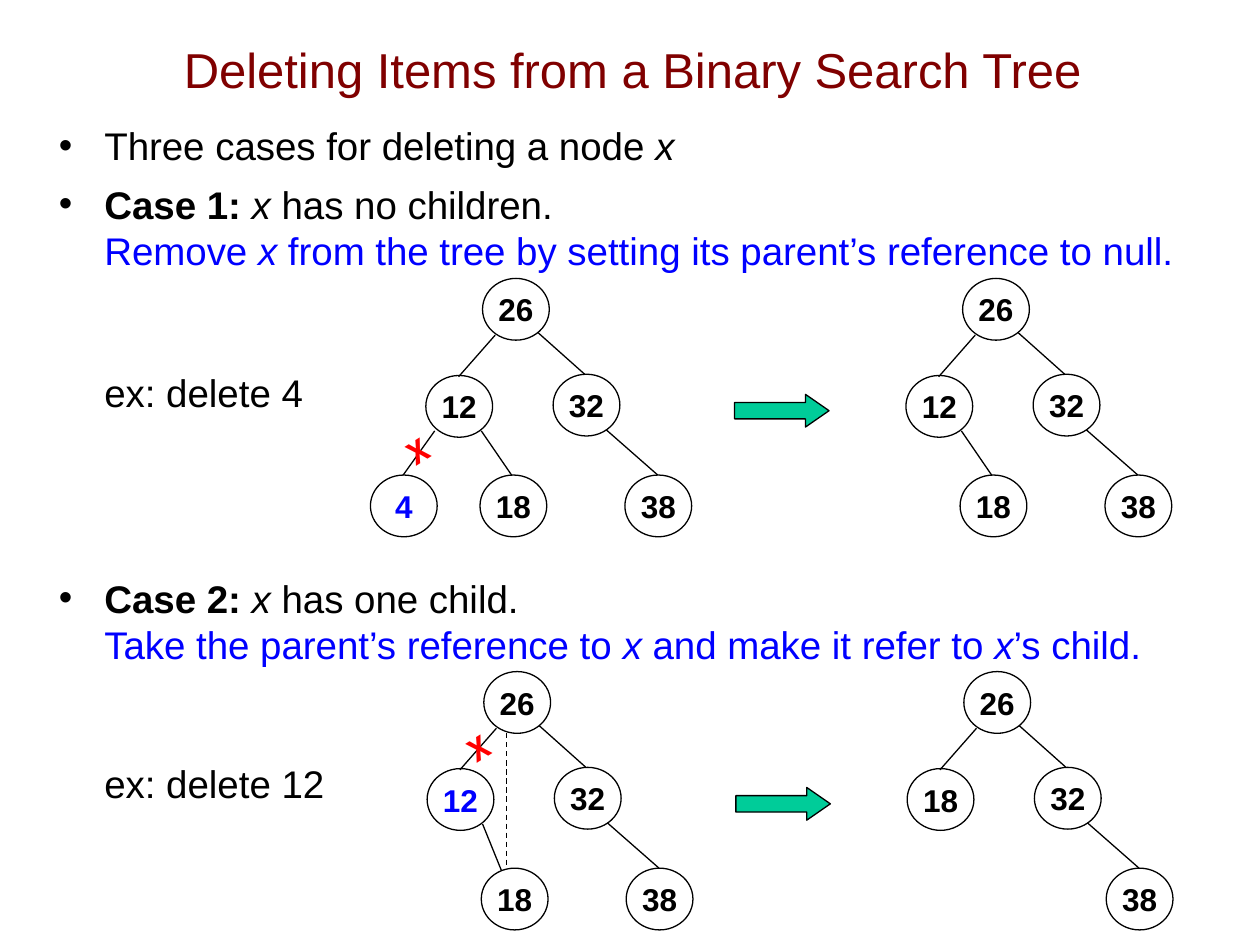
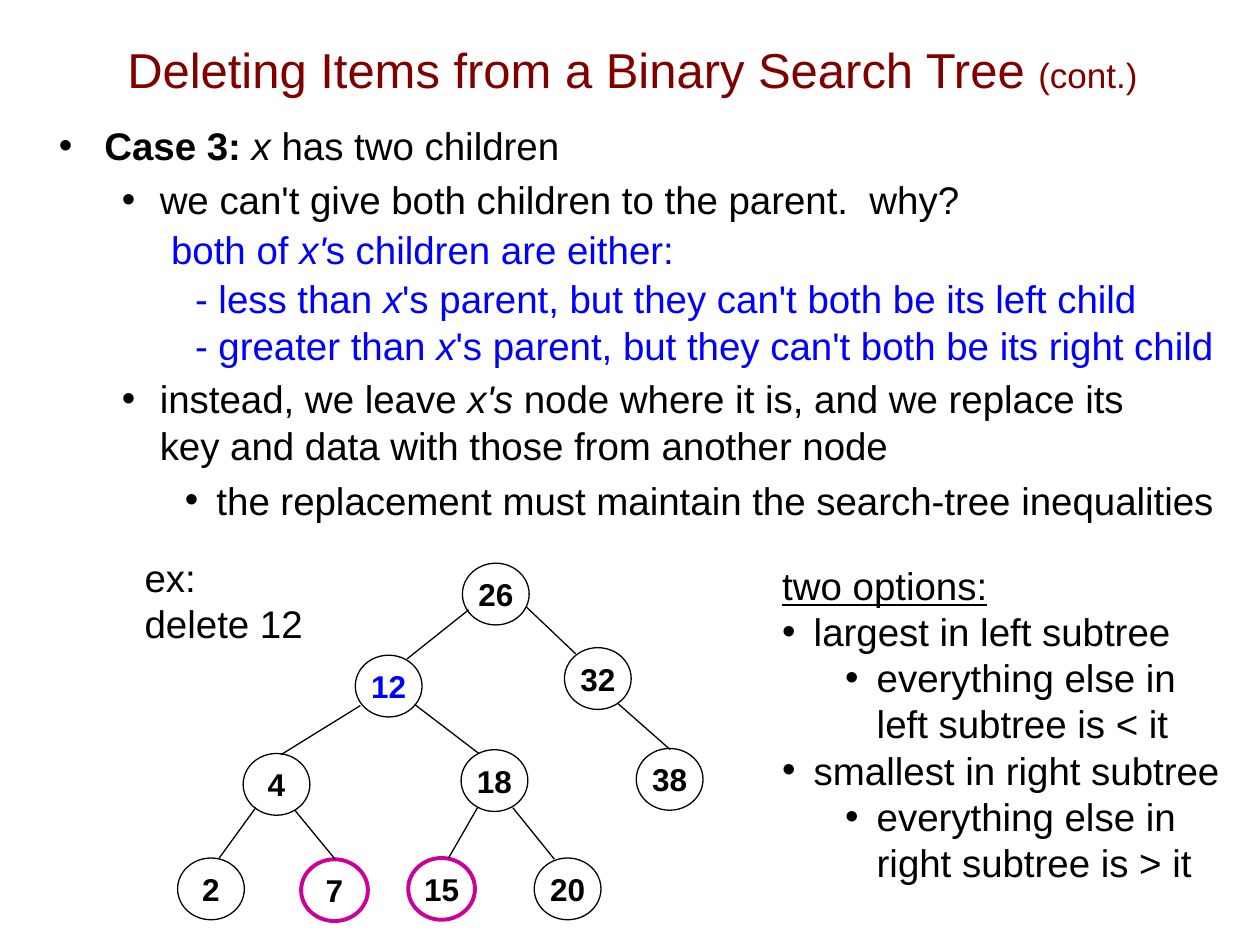
import lxml.etree
import pptx
import pptx.dml.color
import pptx.enum.dml
import pptx.enum.shapes
import pptx.enum.text
import pptx.oxml.ns
import pptx.util

Inches = pptx.util.Inches
Pt = pptx.util.Pt
RGB = pptx.dml.color.RGBColor.from_string
qn = pptx.oxml.ns.qn
ALIGN = pptx.enum.text.PP_ALIGN
ANCHOR = pptx.enum.text.MSO_ANCHOR
SHAPE = pptx.enum.shapes.MSO_SHAPE


class Theme:
    font = "Arial"
    mark_font = "Arial Narrow"
    title_color = RGB("800000")
    ink = RGB("000000")
    accent = RGB("0000FF")
    mark = RGB("FF0000")
    arrow = RGB("00CC99")
    candidate = RGB("CC0099")
    paper = RGB("FFFFFF")
    title_size = 28
    cont_size = 20
    body_size = 22
    key_size = 18
    mark_size = 24
    thin = 0.75
    thick = 2.25


def add_para(tf, runs, size=Theme.body_size, color=Theme.ink, left=0, hang=0,
             before=0, align=ALIGN.LEFT, font=Theme.font):
    """Add a paragraph of (text, style) runs; style holds b, i, u, or s for small.

    A positive hang gives a bullet; the text "\\n" gives a line break.
    """
    p = tf.paragraphs[0]
    if p.runs:
        p = tf.add_paragraph()
    p.alignment = align
    p.space_before = Pt(before)
    pPr = p._p.get_or_add_pPr()
    pPr.set("marL", str(Inches(left)))
    pPr.set("indent", str(-Inches(hang)))
    if hang:
        bu = lxml.etree.SubElement(pPr, qn("a:buFont"))
        bu.set("typeface", Theme.font)
        bu = lxml.etree.SubElement(pPr, qn("a:buChar"))
        bu.set("char", "•")
    for text, style in runs:
        if text == "\n":
            p.add_line_break()
            continue
        r = p.add_run()
        r.text = text
        r.font.name = font
        r.font.size = Pt(Theme.cont_size if "s" in style else size)
        r.font.color.rgb = color
        r.font.bold = "b" in style
        r.font.italic = "i" in style
        r.font.underline = "u" in style


def add_edge(s, x1, y1, x2, y2, dashed=False):
    c = s.shapes.add_connector(pptx.enum.shapes.MSO_CONNECTOR.STRAIGHT,
                               Inches(x1), Inches(y1), Inches(x2), Inches(y2))
    c.line.color.rgb = Theme.ink
    c.line.width = Pt(Theme.thin)
    if dashed:
        c.line.dash_style = pptx.enum.dml.MSO_LINE.DASH
    lxml.etree.SubElement(c._element.spPr, qn("a:effectLst"))


prs = pptx.Presentation()
prs.slide_width = Inches(10)
prs.slide_height = Inches(7.5)

# Titles and body frames
title = "Deleting Items from a Binary Search Tree"
slides, bodies = [], []
for title_runs in ([(title, "")], [(title + " ", ""), ("(cont.)", "s")]):
    s = prs.slides.add_slide(prs.slide_layouts[6])
    tf = s.shapes.add_textbox(Inches(0.43), Inches(0.08), Inches(9.18), Inches(0.93)).text_frame
    tf.word_wrap = True
    tf.vertical_anchor = ANCHOR.MIDDLE
    add_para(tf, title_runs, Theme.title_size, Theme.title_color, align=ALIGN.CENTER)
    tf = s.shapes.add_textbox(Inches(0.37), Inches(0.92), Inches(9.63), Inches(6.14)).text_frame
    tf.word_wrap = True
    slides.append(s)
    bodies.append(tf)
one_child, two_children = slides

# Cases 1 and 2: text
tf = bodies[0]
top = dict(left=0.36, hang=0.36)
add_para(tf, [("Three cases for deleting a node ", ""), ("x", "i")], before=14.2, **top)
add_para(tf, [("Case 1: ", "b"), ("x", "i"), (" has no children.", "")], before=7, **top)
add_para(tf, [("Remove ", ""), ("x", "i"),
              (" from the tree by setting its parent’s reference to null.", "")],
         color=Theme.accent, left=0.36)
add_para(tf, [("ex: delete 4", "")], left=0.36, before=55)
add_para(tf, [("Case 2: ", "b"), ("x", "i"), (" has one child.", "")], before=91, **top)
add_para(tf, [("Take the parent’s reference to ", ""), ("x", "i"),
              (" and make it refer to ", ""), ("x", "i"), ("’s child.", "")],
         color=Theme.accent, left=0.36)
add_para(tf, [("ex: delete 12", "")], left=0.36, before=53)

# Case 3: text
tf = bodies[1]
second = dict(left=0.8, hang=0.3, before=4.4)
add_para(tf, [("Case 3: ", "b"), ("x", "i"), (" has two children", "")], before=7, **top)
add_para(tf, [("we can't give both children to the parent.  why?", "")], **second)
add_para(tf, [("both of ", ""), ("x'", "i"), ("s children are either:", "")],
         color=Theme.accent, left=0.89, before=2)
for relation, side, before in (("less", "left", 2), ("greater", "right", 0)):
    add_para(tf, [(f"- {relation} than ", ""), ("x", "i"),
                  (f"'s parent, but they can't both be its {side} child", "")],
             color=Theme.accent, left=1.08, before=before)
add_para(tf, [("instead, we leave ", ""), ("x's ", "i"),
              ("node where it is, and we replace its", ""), ("\n", ""),
              ("key and data with those from another node", "")], **second)
add_para(tf, [("the replacement must maintain the search-tree inequalities", "")],
         left=1.25, hang=0.25, before=5)
add_para(tf, [("ex:", ""), ("\n", ""), ("delete 12", "")], left=0.68, before=17.6)

tf = two_children.shapes.add_textbox(Inches(6.11), Inches(4.41), Inches(3.85), Inches(2.69)).text_frame
tf.word_wrap = True
add_para(tf, [("two options:", "u")])
for extreme, side, sign in (("largest", "left", "<"), ("smallest", "right", ">")):
    add_para(tf, [(f"{extreme} in {side} subtree", "")], left=0.25, hang=0.25)
    add_para(tf, [("everything else in", ""), ("\n", ""), (f"{side} subtree is {sign} it", "")],
             left=0.75, hang=0.25)

# Each slot: left and top of the node, then the edge from its parent
small_slots = {
    "root": (3.83, 2.21, None),
    "left": (3.38, 2.98, (3.93, 2.66, 3.64, 2.99)),
    "right": (4.39, 2.97, (4.27, 2.64, 4.64, 2.97)),
    "left-left": (2.94, 3.77, (3.45, 3.42, 3.2, 3.77)),
    "left-right": (3.81, 3.77, (3.82, 3.42, 4.06, 3.77)),
    "only child": (3.81, 3.77, (3.82, 3.42, 3.97, 3.79)),
    "right-right": (4.96, 3.77, (4.81, 3.41, 5.22, 3.77)),
}
large_slots = {
    "root": (3.67, 4.47, None),
    "left": (2.82, 5.2, (3.72, 4.84, 3.23, 5.23)),
    "right": (4.48, 5.14, (4.18, 4.82, 4.57, 5.19)),
    "left-left": (1.93, 5.98, (2.86, 5.6, 2.23, 5.99)),
    "left-right": (3.66, 5.95, (3.29, 5.59, 3.8, 5.98)),
    "right-right": (5.05, 5.94, (4.9, 5.58, 5.32, 5.95)),
    "leaf 1": (1.41, 6.81, (2.03, 6.41, 1.74, 6.81)),
    "leaf 2": (2.39, 6.82, (2.34, 6.43, 2.66, 6.82)),
    "leaf 3": (3.24, 6.81, (3.79, 6.41, 3.56, 6.81)),
    "leaf 4": (4.24, 6.81, (4.07, 6.41, 4.4, 6.82)),
}
outer = {"root": 26, "right": 32, "right-right": 38}
case_shift = (0.01, 3.12)
after_shift = 3.81

# Slide, slots, shift right, shift down, keys, deleted key, replacement keys
trees = [
    (one_child, small_slots, 0, 0,
     {**outer, "left": 12, "left-left": 4, "left-right": 18}, 4, ()),
    (one_child, small_slots, after_shift, 0,
     {**outer, "left": 12, "left-right": 18}, None, ()),
    (one_child, small_slots, *case_shift,
     {**outer, "left": 12, "only child": 18}, 12, ()),
    (one_child, small_slots, after_shift + case_shift[0], case_shift[1],
     {**outer, "left": 18}, None, ()),
    (two_children, large_slots, 0, 0,
     {**outer, "left": 12, "left-left": 4, "left-right": 18,
      "leaf 1": 2, "leaf 2": 7, "leaf 3": 15, "leaf 4": 20}, 12, (7, 15)),
]
for s, slots, dx, dy, keys, deleted, replacements in trees:
    for slot, key in keys.items():
        x, y, edge = slots[slot]
        sp = s.shapes.add_shape(SHAPE.OVAL, Inches(x + dx), Inches(y + dy),
                                Inches(0.53), Inches(0.49))
        sp.shadow.inherit = False
        sp.fill.solid()
        sp.fill.fore_color.rgb = Theme.paper
        chosen = key in replacements
        sp.line.color.rgb = Theme.candidate if chosen else Theme.ink
        sp.line.width = Pt(Theme.thick if chosen else Theme.thin)
        tf = sp.text_frame
        tf.margin_left = tf.margin_right = tf.margin_top = tf.margin_bottom = 0
        tf.word_wrap = False
        tf.vertical_anchor = ANCHOR.MIDDLE
        add_para(tf, [(str(key), "b")], Theme.key_size,
                 Theme.accent if key == deleted else Theme.ink, align=ALIGN.CENTER)
    for slot in keys:
        edge = slots[slot][2]
        if edge:
            x1, y1, x2, y2 = edge
            add_edge(s, x1 + dx, y1 + dy, x2 + dx, y2 + dy)

# Before-and-after arrows, new reference and cut references
for dx, dy in ((0, 0), case_shift):
    sp = one_child.shapes.add_shape(SHAPE.RIGHT_ARROW, Inches(5.83 + dx), Inches(3.13 + dy),
                                    Inches(0.75), Inches(0.26))
    sp.adjustments[0], sp.adjustments[1] = 0.5, 0.72
    sp.shadow.inherit = False
    sp.fill.solid()
    sp.fill.fore_color.rgb = Theme.arrow
    sp.line.color.rgb = Theme.ink
    sp.line.width = Pt(Theme.thin)

add_edge(one_child, 4.02, 5.82, 4.02, 6.88, dashed=True)

for x, y in ((3.12, 3.3), (3.6, 5.66)):
    sp = one_child.shapes.add_textbox(Inches(x), Inches(y), Inches(0.35), Inches(0.5))
    sp.rotation = 327.9
    sp.text_frame.word_wrap = False
    add_para(sp.text_frame, [("x", "b")], Theme.mark_size, Theme.mark,
             align=ALIGN.RIGHT, font=Theme.mark_font)

prs.save("out.pptx")
